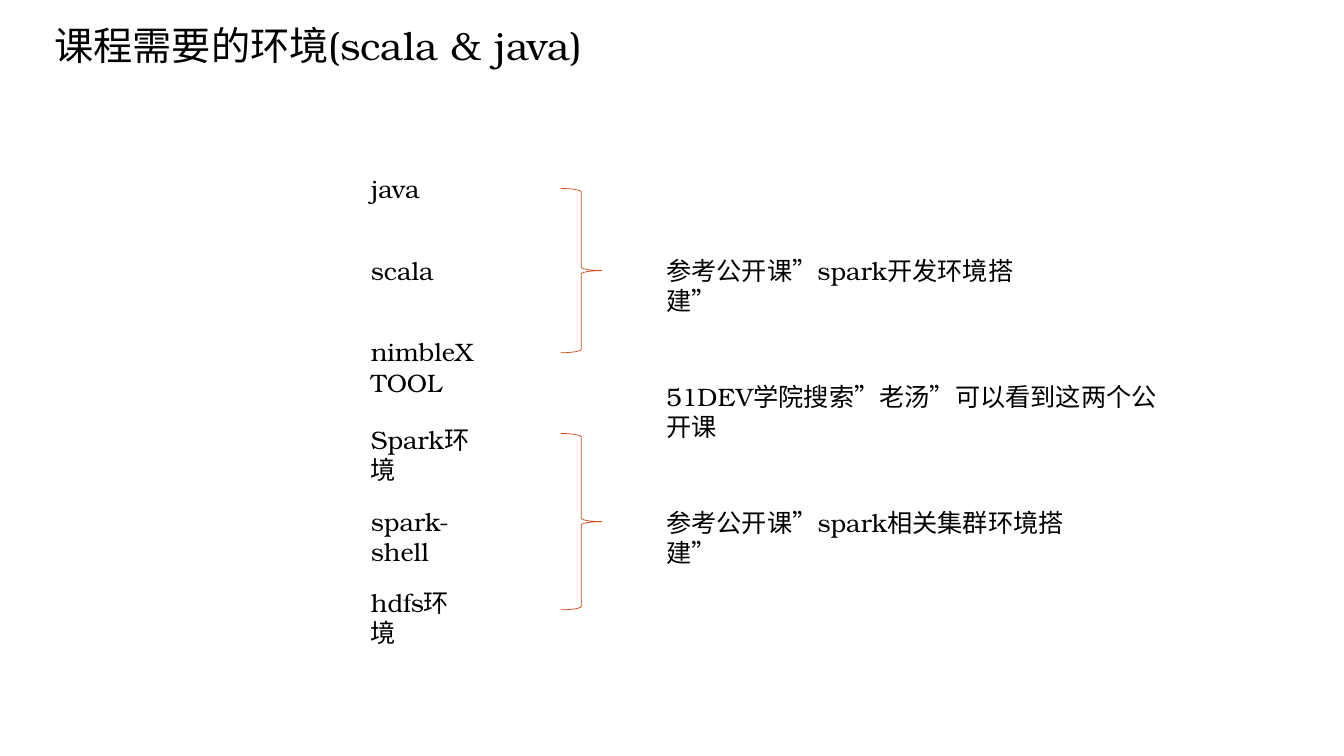
from pptx import Presentation
from pptx.dml.color import RGBColor
from pptx.enum.shapes import MSO_SHAPE
from pptx.enum.text import MSO_ANCHOR, MSO_AUTO_SIZE, PP_ALIGN
from pptx.util import Inches, Pt


def rgb(code):
    return RGBColor.from_string(code)


def write(sp, text, size):
    tf = sp.text_frame
    tf.word_wrap = True
    tf.auto_size = MSO_AUTO_SIZE.NONE
    tf.vertical_anchor = MSO_ANCHOR.TOP
    p = tf.paragraphs[0]
    p.alignment = PP_ALIGN.LEFT
    r = p.add_run()
    r.text = text
    r.font.size = Pt(size)
    r.font.name = "TeX Gyre Bonum"
    r.font.color.rgb = rgb("000000")


prs = Presentation()
prs.slide_width = Inches(13.33)
prs.slide_height = Inches(7.5)
s = prs.slides.add_slide(prs.slide_layouts[5])

title = s.shapes.title
title.left, title.top = Inches(0.44), Inches(0.16)
title.width, title.height = Inches(5.61), Inches(0.57)
write(title, "课程需要的环境(scala & java)", 28)

groups = [
    (1.67, [("java", 0.74), ("scala", 0.86), ("nimbleX TOOL", 1.57)]),
    (4.16, [("Spark环境", 1.38), ("spark-shell", 1.45), ("hdfs环境", 1.21)]),
]
for top, tools in groups:
    for i, (name, width) in enumerate(tools):
        sp = s.shapes.add_textbox(Inches(3.58), Inches(top + 0.81 * i), Inches(width), Inches(0.4))
        write(sp, name, 18)

for top, height in [(1.87, 1.63), (4.3, 1.75)]:
    brace = s.shapes.add_shape(MSO_SHAPE.RIGHT_BRACE, Inches(5.56), Inches(top), Inches(0.41), Inches(height))
    brace.shadow.inherit = False
    brace.fill.background()
    brace.line.color.rgb = rgb("D34817")
    brace.line.width = Pt(0.5)

notes = [
    (2.48, 3.87, "参考公开课”spark开发环境搭建”"),
    (3.73, 5.3, "51DEV学院搜索”老汤”可以看到这两个公开课"),
    (4.98, 4.52, "参考公开课”spark相关集群环境搭建”"),
]
for top, width, text in notes:
    sp = s.shapes.add_textbox(Inches(6.51), Inches(top), Inches(width), Inches(0.4))
    write(sp, text, 18)

prs.save("out.pptx")
